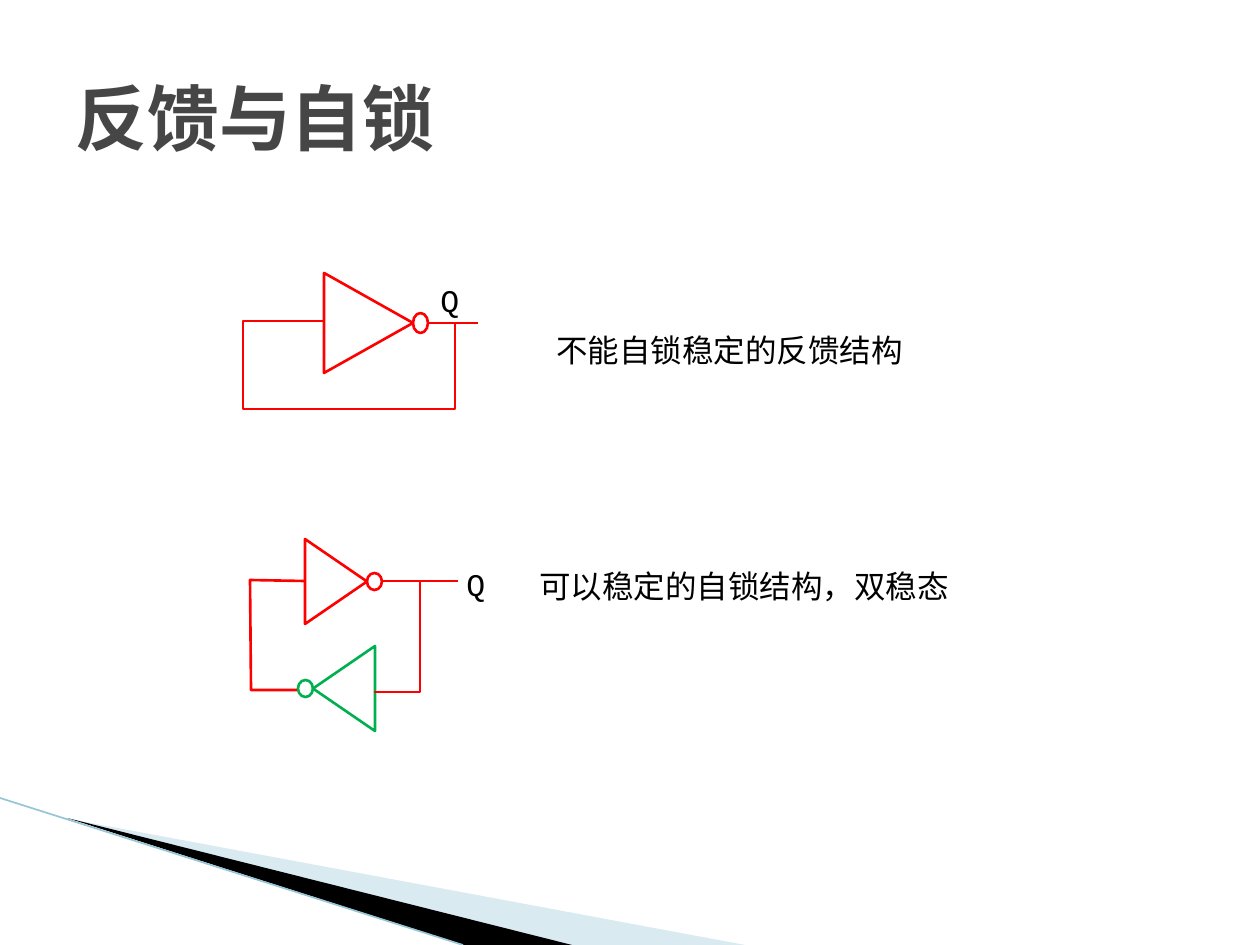
"""Build the slide on feedback and self-locking inverter loops."""
from typing import NamedTuple, Optional

from lxml.etree import SubElement
from pptx import Presentation
from pptx.dml.color import RGBColor
from pptx.enum.shapes import MSO_CONNECTOR, MSO_SHAPE
from pptx.enum.text import MSO_ANCHOR, MSO_AUTO_SIZE, PP_ALIGN
from pptx.oxml.ns import qn
from pptx.util import Emu, Pt

EMU_PER_PX = 914400 / 126
SLIDE_WIDTH, SLIDE_HEIGHT = 1260, 945

RED = RGBColor(0xFF, 0x00, 0x00)
GREEN = RGBColor(0x00, 0xB0, 0x50)
BLACK = RGBColor(0x00, 0x00, 0x00)
TITLE_GREY = RGBColor(0x46, 0x46, 0x46)
PALE_BLUE = RGBColor(0xA0, 0xCB, 0xDC)
EDGE_BLUE = RGBColor(0x97, 0xC5, 0xD8)

TITLE_FORMAT = {"name": "Courier New", "size": Pt(41), "bold": True}
LABEL_FORMAT = {"name": "Courier New", "size": Pt(18)}
BUBBLE_WIDTH = 15


class Wedge(NamedTuple):
    """A filled corner decoration."""
    points: list[tuple[int, int]]
    color: RGBColor
    opacity: Optional[int] = None


class Inverter(NamedTuple):
    """An inverter gate, given by its visible triangle."""
    left: int
    top: int
    width: int
    height: int
    bubble_height: int
    color: RGBColor
    points_right: bool = True


class Line(NamedTuple):
    """A straight line between two points."""
    start: tuple[int, int]
    end: tuple[int, int]
    color: RGBColor
    weight: float


class Label(NamedTuple):
    """A text label and its box."""
    text: str
    left: int
    top: int
    width: int
    height: int


WEDGES = [
    Wedge([(69, 819), (745, 945), (570, 945)], PALE_BLUE, 40),
    Wedge([(67, 818), (572, 945), (464, 945)], BLACK),
]
INVERTERS = [
    Inverter(324, 273, 89, 100, 20, RED),
    Inverter(305, 539, 62, 85, 17, RED),
    Inverter(313, 646, 62, 85, 17, GREEN, points_right=False),
]
LINES = [
    Line((0, 798), (463, 945), EDGE_BLUE, 0.95),
    Line((428, 323), (478, 323), RED, 1),
    Line((382, 581), (458, 581), RED, 1.5),
]
FEEDBACK_WIRES = [
    [(455, 323), (455, 409), (243, 409), (243, 321), (324, 321)],
    [(420, 581), (420, 692), (374, 692)],
    [(304, 581), (250, 580), (251, 690), (297, 690)],
]
LABELS = [
    Label("Q", 428, 275, 50, 50),
    Label("不能自锁稳定的反馈结构", 544, 325, 375, 50),
    Label("Q", 454, 559, 55, 69),
    Label("可以稳定的自锁结构，双稳态", 527, 561, 480, 69),
]


def px(length: float) -> Emu:
    """Turn pixels into EMU."""
    return Emu(round(length * EMU_PER_PX))


def format_text(frame, text: str, formats: dict, color: RGBColor) -> None:
    """Write one formatted paragraph into a text frame."""
    paragraph = frame.paragraphs[0]
    paragraph.alignment = PP_ALIGN.LEFT
    run = paragraph.add_run()
    run.text = text
    for attribute, value in formats.items():
        setattr(run.font, attribute, value)
    run.font.color.rgb = color


def outline(shape, color: RGBColor, weight: float = 1.5) -> None:
    """Give a shape a plain outline without fill or shadow."""
    shape.shadow.inherit = False
    shape.fill.background()
    shape.line.color.rgb = color
    shape.line.width = Pt(weight)


def add_path(shapes, points: list[tuple[int, int]], close: bool):
    """Draw a freeform through the points."""
    builder = shapes.build_freeform(*points[0], scale=EMU_PER_PX)
    builder.add_line_segments(points[1:], close=close)
    return builder.convert_to_shape()


def add_wedge(shapes, wedge: Wedge) -> None:
    """Draw a corner decoration."""
    shape = add_path(shapes, wedge.points, close=True)
    shape.shadow.inherit = False
    shape.fill.solid()
    shape.fill.fore_color.rgb = wedge.color
    shape.line.fill.background()
    if wedge.opacity is not None:
        fill_color = shape.fill._xPr.find(qn("a:solidFill"))[0]
        SubElement(fill_color, qn("a:alpha"), val=str(wedge.opacity * 1000))


def add_line(shapes, line: Line) -> None:
    """Draw a straight line."""
    connector = shapes.add_connector(
        MSO_CONNECTOR.STRAIGHT, *map(px, line.start + line.end))
    connector.line.color.rgb = line.color
    connector.line.width = Pt(line.weight)
    SubElement(connector._element.spPr, qn("a:effectLst"))


def add_inverter(shapes, gate: Inverter) -> None:
    """Draw a turned triangle with a bubble at its tip."""
    center_x = gate.left + gate.width / 2
    center_y = gate.top + gate.height / 2
    triangle = shapes.add_shape(
        MSO_SHAPE.ISOSCELES_TRIANGLE,
        px(center_x - gate.height / 2), px(center_y - gate.width / 2),
        px(gate.height), px(gate.width))
    triangle.rotation = 90 if gate.points_right else 270
    bubble_left = (gate.left + gate.width if gate.points_right
                   else gate.left - BUBBLE_WIDTH)
    bubble = shapes.add_shape(
        MSO_SHAPE.OVAL, px(bubble_left), px(center_y - gate.bubble_height / 2),
        px(BUBBLE_WIDTH), px(gate.bubble_height))
    for part in (triangle, bubble):
        outline(part, gate.color)


def add_label(shapes, label: Label) -> None:
    """Write a label in an unwrapped text box."""
    frame = shapes.add_textbox(*map(px, label[1:])).text_frame
    frame.word_wrap = False
    frame.auto_size = MSO_AUTO_SIZE.SHAPE_TO_FIT_TEXT
    format_text(frame, label.text, LABEL_FORMAT, BLACK)


def add_title(title) -> None:
    """Place and format the slide title."""
    box = {"left": 63, "top": 38, "width": 1134, "height": 157}
    for attribute, value in box.items():
        setattr(title, attribute, px(value))
    title.text_frame.auto_size = MSO_AUTO_SIZE.NONE
    title.text_frame.vertical_anchor = MSO_ANCHOR.MIDDLE
    format_text(title.text_frame, "反馈与自锁", TITLE_FORMAT, TITLE_GREY)


def main() -> None:
    """Build and save the slide."""
    presentation = Presentation()
    presentation.slide_width = px(SLIDE_WIDTH)
    presentation.slide_height = px(SLIDE_HEIGHT)
    shapes = presentation.slides.add_slide(presentation.slide_layouts[5]).shapes
    add_title(shapes.title)
    for wedge in WEDGES:
        add_wedge(shapes, wedge)
    for gate in INVERTERS:
        add_inverter(shapes, gate)
    for line in LINES:
        add_line(shapes, line)
    for wire in FEEDBACK_WIRES:
        outline(add_path(shapes, wire, close=False), RED)
    for label in LABELS:
        add_label(shapes, label)
    presentation.save("out.pptx")


if __name__ == "__main__":
    main()
